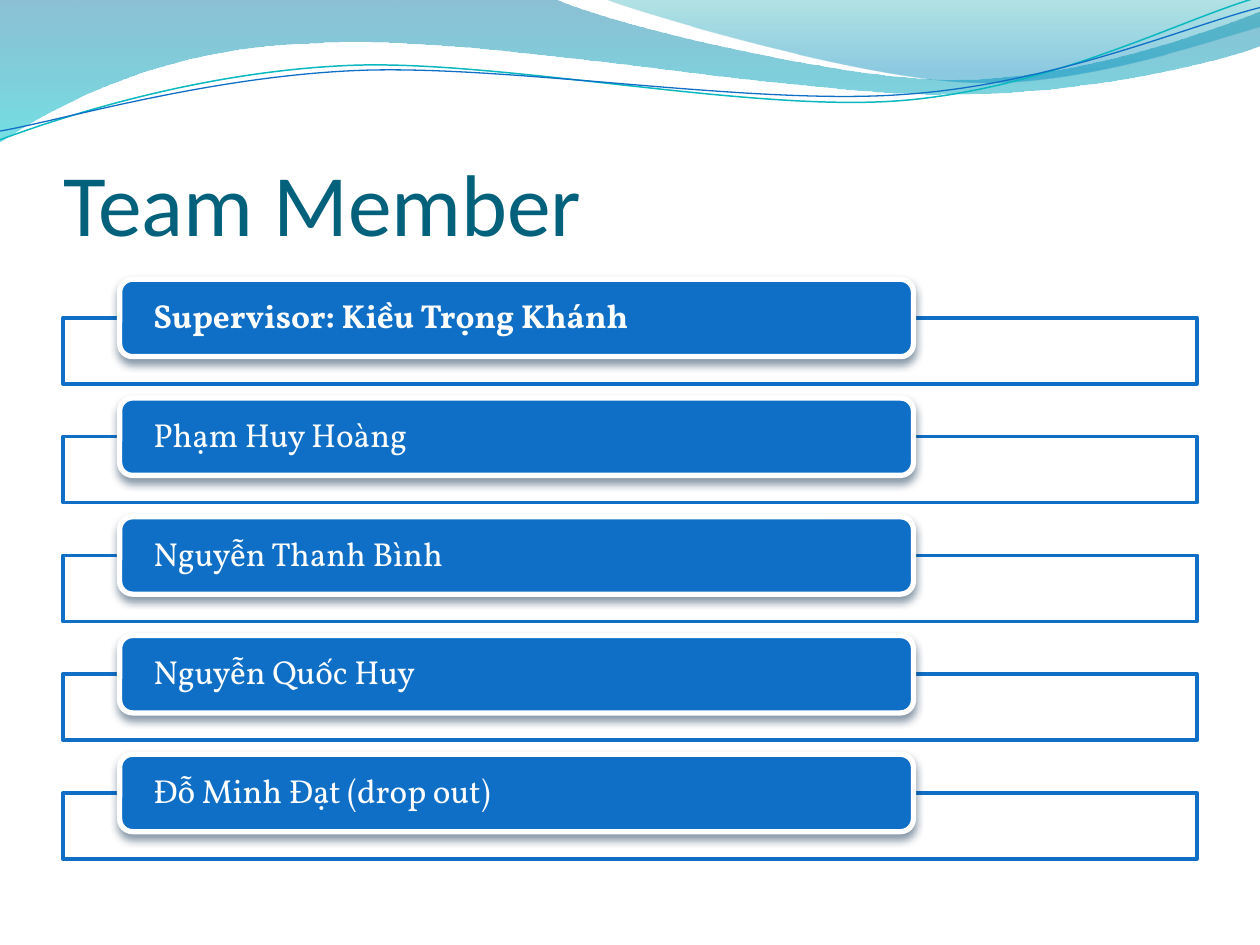
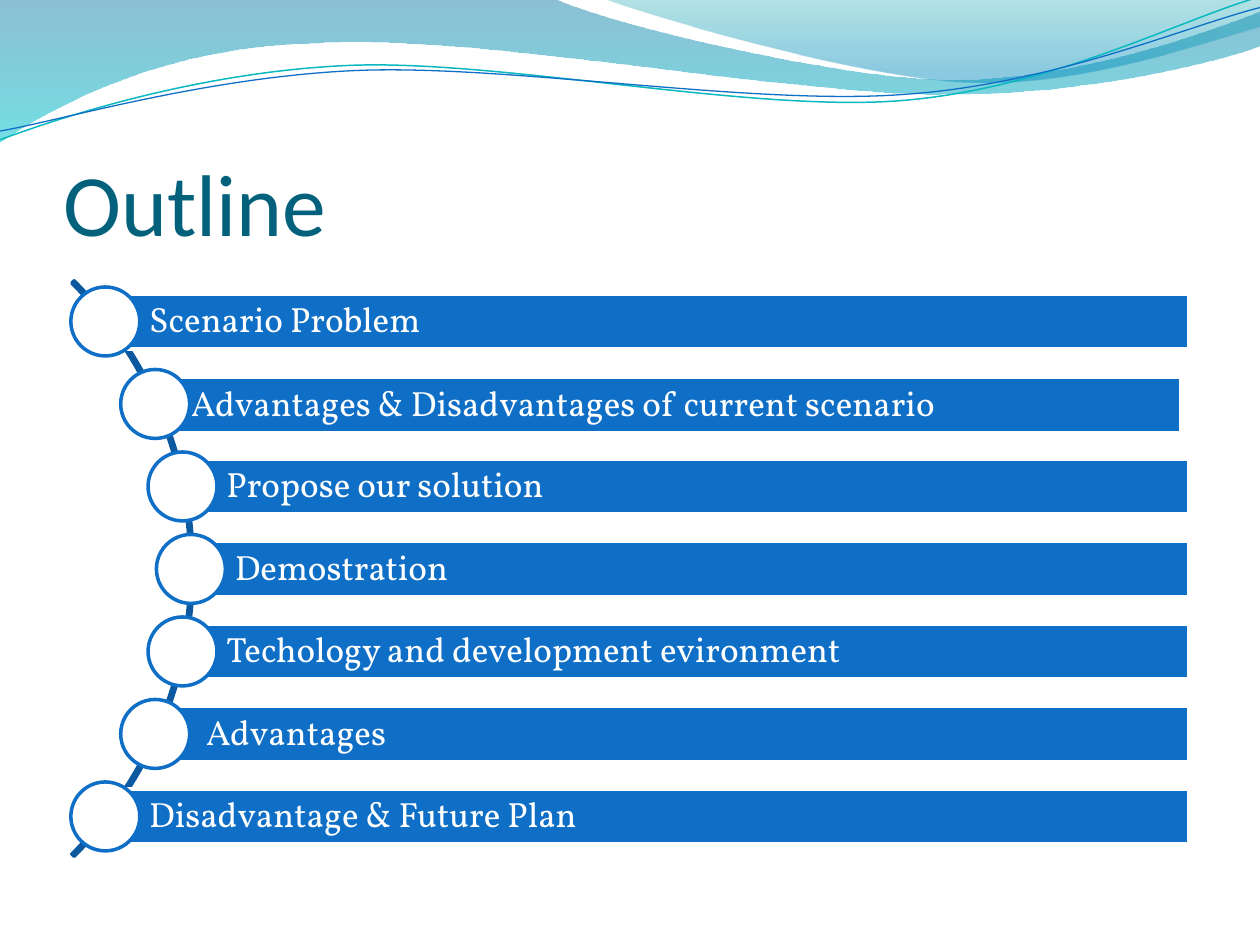
from math import cos, radians, sin

from lxml import etree
from pptx import Presentation
from pptx.dml.color import RGBColor
from pptx.enum.shapes import MSO_SHAPE
from pptx.enum.text import MSO_ANCHOR, PP_ALIGN
from pptx.oxml.ns import qn
from pptx.util import Pt

BLUE = RGBColor(0x0F, 0x6F, 0xC6)
DARK_BLUE = RGBColor(0x0C, 0x59, 0x9F)
TEAL = RGBColor(0x0A, 0xB8, 0xBF)
TITLE = RGBColor(0x04, 0x61, 0x7B)
WHITE = RGBColor(0xFF, 0xFF, 0xFF)
WAVE_TOP = RGBColor(0x00, 0x74, 0xA1)
WAVE_END = RGBColor(0x00, 0xC6, 0xCF)
CREST_TOP = RGBColor(0x00, 0xA1, 0xA9)
CREST_END = RGBColor(0x00, 0x8B, 0xBF)
SHADOW = RGBColor(0x04, 0x27, 0x47)

# Band outlines: a start point, then lines (2 numbers) and Bezier curves (6 numbers)
WAVE = [(0, 0), (316.8, -0.7),
        (342.7, 12.2, 478.1, 45.4, 545.8, 45.4), (614.2, 45.4, 689.8, 18.7, 720, 6.5),
        (720.7, 25.9),
        (707.8, 31.7, 626.4, 54.7, 537.1, 54), (447.8, 54, 275, 20.2, 185, 24.5),
        (92.9, 25.9, 33.1, 59.8, -0.7, 81.4), (0, 0)]
CREST = [(344.9, -0.7),
         (366.5, 7.9, 491, 44.6, 553.7, 46.8), (616.3, 49.7, 691.9, 23, 720, 15.1),
         (720, 0), (344.9, -0.7)]
TEAL_CURVE = [(0, 79.9), (34.6, 67, 113.8, 41, 199.4, 37.4),
              (284.4, 33.8, 427, 64.1, 513.4, 57.6), (599.8, 51.1, 675.4, 10.8, 718.6, -1.4)]
BLUE_CURVE = [(0, 74.9), (33.8, 69.1, 118.1, 43.9, 203.8, 40.3),
              (290.2, 36.7, 429.8, 60.5, 516.2, 54), (601.9, 48.2, 677.5, 15.1, 720, 4.3)]

# Outline, frame, rotation, gradient stops (position, colour, opacity %), line
BANDS = [
    (WAVE, (-0.7, -0.7, 721.4, 82.1), 0, [(0, WAVE_TOP, 45), (1, WAVE_END, 55)], None),
    (CREST, (344.9, -0.7, 375.1, 50.4), 0, [(0, CREST_TOP, 30), (0.8, CREST_END, 45)], None),
    (TEAL_CURVE, (-1.4, 15.8, 721.4, 51.1), 357.3, None, (TEAL, 0.85)),
    (BLUE_CURVE, (-1.4, 21.6, 722.2, 41.8), 357.3, None, (BLUE, 0.75)),
]


def write(sp, text, size, font="Vollkorn", color=WHITE, bold=False,
          anchor=MSO_ANCHOR.MIDDLE, margins=(0, 0, 0, 0), spacing=0.9):
    tf = sp.text_frame
    tf.word_wrap = True
    tf.vertical_anchor = anchor
    tf.margin_left, tf.margin_top, tf.margin_right, tf.margin_bottom = map(Pt, margins)
    p = tf.paragraphs[0]
    p.alignment = PP_ALIGN.LEFT
    p.line_spacing = spacing
    r = p.add_run()
    r.text = text
    r.font.name, r.font.size, r.font.bold = font, Pt(size), bold
    r.font.color.rgb = color


def add_box(s, kind, x, y, w, h, fill, line, width):
    sp = s.shapes.add_shape(kind, Pt(x), Pt(y), Pt(w), Pt(h))
    sp.shadow.inherit = False
    if fill is None:
        sp.fill.background()
    else:
        sp.fill.solid()
        sp.fill.fore_color.rgb = fill
    sp.line.color.rgb = line
    sp.line.width = Pt(width)
    return sp


prs = Presentation()
prs.slide_width, prs.slide_height = Pt(720), Pt(540)

# Shared waves and title
for title in ("Team Member", "Outline"):
    s = prs.slides.add_slide(prs.slide_layouts[6])
    for outline, (x, y, w, h), rotation, stops, line in BANDS:
        builder = s.shapes.build_freeform(*outline[0], scale=Pt(1))
        builder.add_line_segments([seg[-2:] for seg in outline[1:]], close=line is None)
        sp = builder.convert_to_shape()
        sp.left, sp.top, sp.width, sp.height = Pt(x), Pt(y), Pt(w), Pt(h)
        sp.rotation = rotation
        sp.shadow.inherit = False

        # Redraw the outline with true curves, turned back into the unrotated frame
        outline_xml = next(sp.element.iter(qn("a:path")))
        outline_xml.set("w", str(Pt(w)))
        outline_xml.set("h", str(Pt(h)))
        for child in list(outline_xml):
            outline_xml.remove(child)
        c, d = cos(radians(-rotation)), sin(radians(-rotation))
        for i, seg in enumerate(outline):
            tag = "a:moveTo" if i == 0 else "a:lnTo" if len(seg) == 2 else "a:cubicBezTo"
            step = etree.SubElement(outline_xml, qn(tag))
            for px, py in zip(seg[::2], seg[1::2]):
                dx, dy = px - x - w / 2, py - y - h / 2
                etree.SubElement(step, qn("a:pt"), x=str(Pt(w / 2 + dx * c - dy * d)),
                                 y=str(Pt(h / 2 + dx * d + dy * c)))
        if line:
            sp.fill.background()
            sp.line.color.rgb, sp.line.width = line[0], Pt(line[1])
        else:
            etree.SubElement(outline_xml, qn("a:close"))
            sp.line.fill.background()
            sp.fill.gradient()
            sp.fill.gradient_angle = 270
            for stop, (position, color, _) in zip(sp.fill.gradient_stops, stops):
                stop.position = position
                stop.color.rgb = color
            for clr, (_, _, opacity) in zip(sp.element.spPr.iter(qn("a:srgbClr")), stops):
                etree.SubElement(clr, qn("a:alpha"), val=str(opacity * 1000))
    write(s.shapes.add_textbox(Pt(36.3), Pt(55.4), Pt(648), Pt(90)), title, 50,
          font="Calibri", color=TITLE, anchor=MSO_ANCHOR.BOTTOM,
          margins=(0, 3.6, 0, 0), spacing=1)

team, agenda = prs.slides

# Team: a name card over each frame
MEMBERS = ["Supervisor: Kiều Trọng Khánh", "Phạm Huy Hoàng", "Nguyễn Thanh Bình",
           "Nguyễn Quốc Huy", "Đỗ Minh Đạt (drop out)"]
for i, name in enumerate(MEMBERS):
    top = 159.6 + 67.86 * i
    add_box(team, MSO_SHAPE.RECTANGLE, 36, top + 22, 648, 37.8, WHITE, BLUE, 2)
    card = add_box(team, MSO_SHAPE.ROUNDED_RECTANGLE, 68.4, top, 453.6, 44.2, BLUE, WHITE, 3)
    effects = card.element.spPr.find(qn("a:effectLst"))
    shadow = etree.SubElement(effects, qn("a:outerShdw"), blurRad=str(Pt(4.5)),
                              dist=str(Pt(3)), dir="5400000", rotWithShape="0")
    clr = etree.SubElement(shadow, qn("a:srgbClr"), val=str(SHADOW))
    etree.SubElement(clr, qn("a:alpha"), val="48000")
    write(card, name, 19, bold=i == 0, margins=(17.1, 0, 17.1, 0))

# Outline: bars and circles along an arc
arc = add_box(agenda, MSO_SHAPE.BLOCK_ARC, -354.6, 92.4, 465.1, 465.1, None, DARK_BLUE, 2)
for i, value in enumerate((189, 27, 0.004)):
    arc.adjustments[i] = value

TOPICS = ["Scenario Problem", "Advantages & Disadvantages of current scenario",
          "Propose our solution", "Demostration", "Techology and development evironment",
          " Advantages", "Disadvantage & Future Plan"]
CIRCLE_LEFT = [89.4, 84.6, 69, 40.5]  # by distance from the middle row
BAR_RIGHT, CIRCLE = 679.3, 39.4
for i, topic in enumerate(TOPICS):
    left, top = CIRCLE_LEFT[abs(i - 3)], 164 + 47.14 * i
    bar_left = left + CIRCLE / 2
    dx, dy = (-4.6, 0.8) if i == 1 else (0, 0)  # the second bar sits slightly off the grid
    bar = add_box(agenda, MSO_SHAPE.RECTANGLE, bar_left + dx, top + 3.9 + dy,
                  BAR_RIGHT - bar_left, 31.5, BLUE, WHITE, 2)
    write(bar, topic, 20, margins=(25.1, 4.3, 4.3, 4.3))
    add_box(agenda, MSO_SHAPE.OVAL, left, top, CIRCLE, CIRCLE, WHITE, BLUE, 2)

prs.save("out.pptx")
